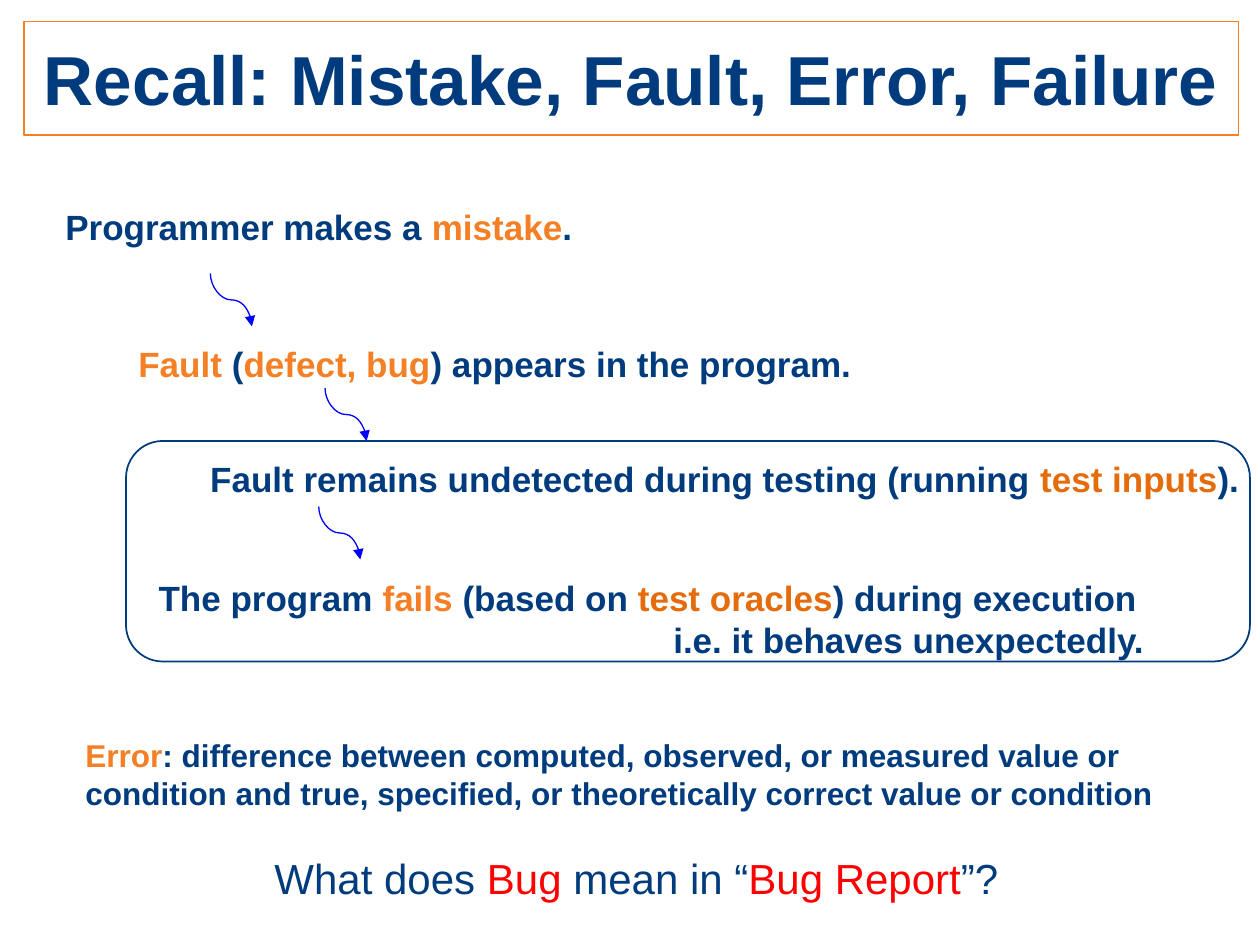
from lxml import etree
from pptx import Presentation
from pptx.dml.color import RGBColor
from pptx.enum import shapes, text
from pptx.oxml import ns
from pptx.util import Inches, Pt

COLORS = {"navy": "003C7D", "orange": "F47F24", "amber": "E46C0A",
          "blue": "0000FF", "red": "FF0000"}
FONT = "Arial"
ARROW_WIDTH, ARROW_HEIGHT = 0.33, 0.42


def rgb(name):
    return RGBColor.from_string(COLORS[name])


def outline(shape, color):
    shape.fill.background()
    shape.line.color.rgb = rgb(color)
    shape.line.width = Pt(1)


def fill_paragraph(para, spans, size, bold=True):
    """Write (wording, color) spans into one paragraph."""
    para.font.name = FONT
    para.font.size = Pt(size)
    para.font.bold = bold
    for wording, color in spans:
        span = para.add_run()
        span.text = wording
        span.font.color.rgb = rgb(color)


def add_title(page, box, wording):
    title = page.shapes.title
    title.left, title.top, title.width, title.height = map(Inches, box)
    outline(title, "orange")
    frame = title.text_frame
    frame.auto_size = text.MSO_AUTO_SIZE.NONE
    frame.vertical_anchor = text.MSO_ANCHOR.MIDDLE
    para = frame.paragraphs[0]
    para.alignment = text.PP_ALIGN.CENTER
    fill_paragraph(para, [(wording, "navy")], 39.6)


def add_text(page, box, spans, size=20, bold=True, wrap=False):
    frame = page.shapes.add_textbox(*map(Inches, box)).text_frame
    frame.word_wrap = wrap
    fill_paragraph(frame.paragraphs[0], spans, size, bold)
    return frame


def add_arrow(page, left, top):
    """Draw an S-curve that leaves and arrives vertically."""
    # The unrotated frame lies on its side around the same centre.
    shift = (ARROW_HEIGHT - ARROW_WIDTH) / 2
    x, y = left - shift, top + shift
    arrow = page.shapes.add_connector(
        shapes.MSO_CONNECTOR.CURVE, Inches(x), Inches(y),
        Inches(x + ARROW_HEIGHT), Inches(y + ARROW_WIDTH))
    arrow.line.color.rgb = rgb("blue")
    arrow.line.width = Pt(0.75)
    properties = arrow._element.spPr
    frame = properties.find(ns.qn("a:xfrm"))
    frame.set("rot", str(270 * 60000))
    frame.set("flipH", "1")
    etree.SubElement(properties.find(ns.qn("a:ln")), ns.qn("a:tailEnd"), type="triangle")
    etree.SubElement(properties, ns.qn("a:effectLst"))


def add_testing_frame(page, box):
    frame = page.shapes.add_shape(shapes.MSO_SHAPE.ROUNDED_RECTANGLE, *map(Inches, box))
    frame.shadow.inherit = False
    outline(frame, "navy")


def add_failure(page, box):
    frame = add_text(page, box, [
        ("The program ", "navy"), ("fails ", "orange"), ("(based on ", "navy"),
        ("test oracles", "amber"), (") during execution", "navy")], wrap=True)
    para = frame.add_paragraph()
    para.alignment = text.PP_ALIGN.RIGHT
    fill_paragraph(para, [("i.e. it behaves unexpectedly.", "navy")], 20)


def add_chain(page):
    """Lead from the mistake to the failure, with an arrow between steps."""
    add_text(page, (0.42, 1.58, 4.25, 0.44), [
        ("Programmer makes a ", "navy"), ("mistake", "orange"), (".", "navy")])
    add_text(page, (1, 2.67, 5.9, 0.44), [
        ("Fault", "orange"), (" (", "navy"), ("defect, bug", "orange"),
        (") appears in the program.", "navy")])
    add_text(page, (1.57, 3.58, 8.42, 0.44), [
        ("Fault remains undetected during testing (running ", "navy"),
        ("test inputs", "amber"), (").", "navy")])
    add_failure(page, (1.16, 4.53, 8.02, 0.77))
    for left, top in [(1.67, 2.17), (2.58, 3.08), (2.53, 4.02)]:
        add_arrow(page, left, top)
    add_testing_frame(page, (1, 3.5, 8.92, 1.75))


def main():
    deck = Presentation()
    deck.slide_width, deck.slide_height = Inches(10), Inches(7.5)
    page = deck.slides.add_slide(deck.slide_layouts[5])
    add_title(page, (0.19, 0.17, 9.64, 0.9), "Recall: Mistake, Fault, Error, Failure")
    add_chain(page)
    add_text(page, (0.58, 5.79, 9.17, 0.71), [
        ("Error", "orange"),
        (": difference between computed, observed, or measured value or condition "
         "and true, specified, or theoretically correct value or condition", "navy")],
        size=18, wrap=True)
    add_text(page, (2.08, 6.72, 7.18, 0.5), [
        ("What does ", "navy"), ("Bug", "red"), (" mean in “", "navy"),
        ("Bug Report", "red"), ("”?", "navy")], size=24, bold=False, wrap=True)
    deck.save("out.pptx")


if __name__ == "__main__":
    main()
